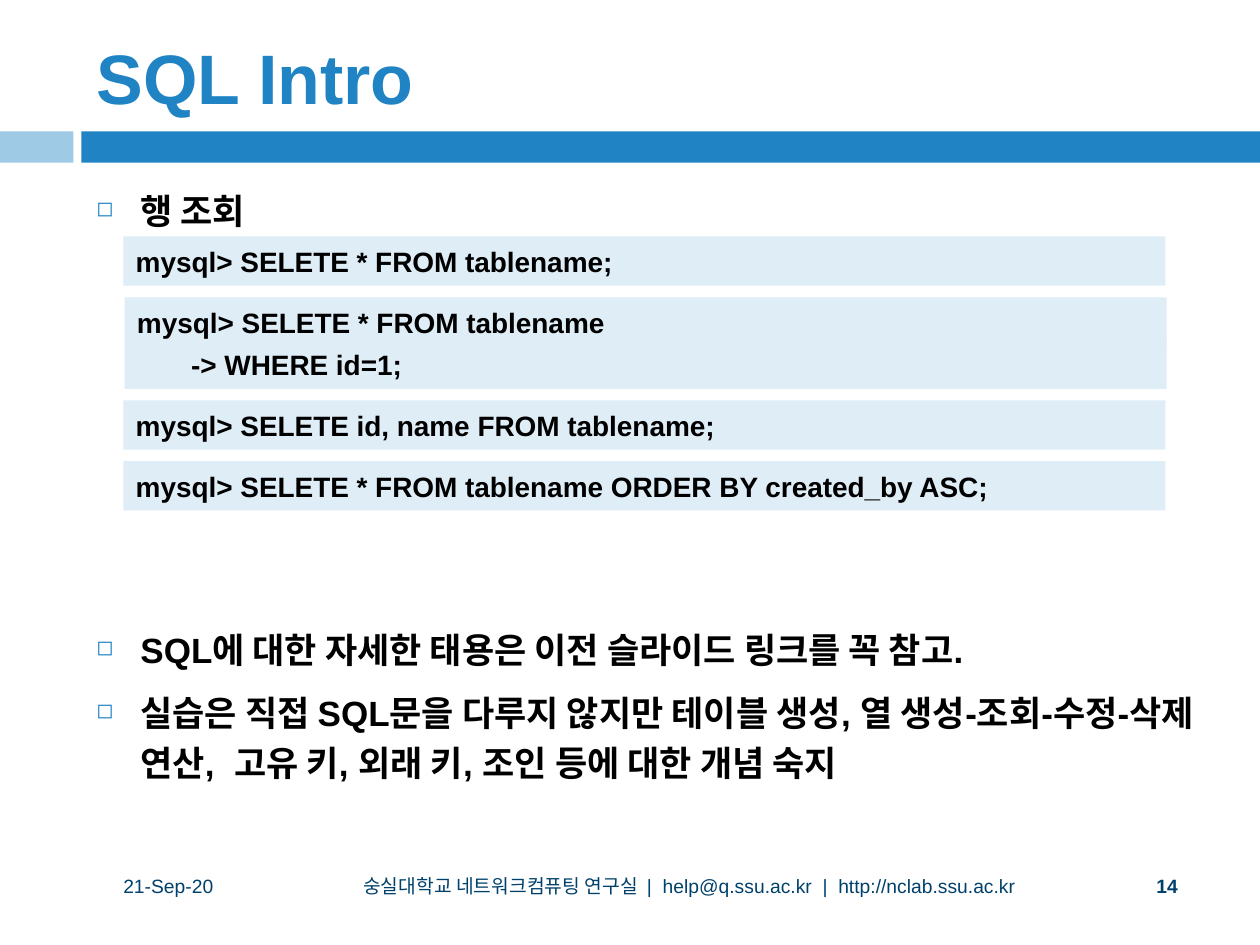
from pptx import Presentation
from pptx.dml.color import RGBColor
from pptx.enum.shapes import MSO_SHAPE
from pptx.enum.text import MSO_ANCHOR, MSO_AUTO_SIZE, PP_ALIGN
from pptx.oxml import parse_xml
from pptx.oxml.ns import nsdecls
from pptx.util import Pt

RECT = MSO_SHAPE.RECTANGLE
MIDDLE, TOP = MSO_ANCHOR.MIDDLE, MSO_ANCHOR.TOP
LEFT, CENTER = PP_ALIGN.LEFT, PP_ALIGN.CENTER
FIXED = MSO_AUTO_SIZE.NONE

BLUE = RGBColor(0x20, 0x83, 0xC4)
LIGHT = RGBColor(0x9F, 0xCA, 0xE6)
PALE = RGBColor(0xDF, 0xED, 0xF7)
NAVY = RGBColor(0x00, 0x41, 0x6B)
BLACK = RGBColor(0, 0, 0)


def draw_bar(x, y, w, h, color):
    bar = slide.shapes.add_shape(RECT, Pt(x), Pt(y), Pt(w), Pt(h))
    bar.shadow.inherit = False
    bar.fill.solid()
    bar.fill.fore_color.rgb = color
    bar.line.fill.background()
    return bar


def set_text(shape, text, size, color, bold=True, align=LEFT):
    frame = shape.text_frame
    form = {"word_wrap": True, "auto_size": FIXED, "vertical_anchor": MIDDLE}
    for key, value in form.items():
        setattr(frame, key, value)
    frame.text = text
    for para in frame.paragraphs:
        para.alignment = align
        style = {"name": "Arial", "size": Pt(size), "bold": bold}
        for key, value in style.items():
            setattr(para.font, key, value)
        para.font.color.rgb = color
    return frame


deck = Presentation()
deck.slide_width, deck.slide_height = Pt(720), Pt(540)
slide = deck.slides.add_slide(deck.slide_layouts[5])

draw_bar(0, 75, 42, 18, LIGHT)
draw_bar(46.5, 75, 673.5, 18, BLUE)

title = slide.shapes.title
place = {"left": 48, "top": 15, "width": 642, "height": 57}
for key, value in place.items():
    setattr(title, key, Pt(value))
set_text(title, "SQL Intro", 40, BLUE)

points = [
    ("행 조회", 0),
    ("SQL에 대한 자세한 태용은 이전 슬라이드 링크를 꼭 참고.", 222),
    ("실습은 직접 SQL문을 다루지 않지만 테이블 생성, 열 생성-조회-수정-삭제 연산,  "
     "고유 키, 외래 키, 조인 등에 대한 개념 숙지", 7),
]
body = slide.shapes.add_textbox(Pt(48), Pt(100), Pt(642), Pt(380))
frame = set_text(body, "\n".join(text for text, gap in points), 20, BLACK)
frame.vertical_anchor = TOP
bullet = (
    f'<a:buClr {nsdecls("a")}><a:srgbClr val="{BLUE}"/></a:buClr>',
    f'<a:buSzPct {nsdecls("a")} val="60000"/>',
    f'<a:buChar {nsdecls("a")} char="◻"/>',
)
for para, (text, gap) in zip(frame.paragraphs, points):
    props = para._p.get_or_add_pPr()
    props.set("marL", str(Pt(25.2)))
    props.set("indent", str(-Pt(25.2)))
    for pos, xml in enumerate(bullet):
        props.insert(pos, parse_xml(xml))
    para.line_spacing = 1.2
    para.space_before = Pt(gap)

codes = [
    (70.5, 135, "mysql> SELETE * FROM tablename;"),
    (71.2, 170, "mysql> SELETE * FROM tablename"),
    (71.2, 194, "       -> WHERE id=1;"),
    (70.5, 228.8, "mysql> SELETE id, name FROM tablename;"),
    (70.5, 263.5, "mysql> SELETE * FROM tablename ORDER BY created_by ASC;"),
]
for x, y, text in codes:
    set_text(draw_bar(x, y, 595.5, 28.2, PALE), text, 16, BLACK)

notes = [
    (48, 96.5, "21-Sep-20", False),
    (150, 488, "숭실대학교 네트워크컴퓨팅 연구실  |  help@q.ssu.ac.kr  |  "
     "http://nclab.ssu.ac.kr", False),
    (643.5, 47, "14", True),
]
for x, w, text, bold in notes:
    box = slide.shapes.add_textbox(Pt(x), Pt(492), Pt(w), Pt(28.5))
    set_text(box, text, 11, NAVY, bold, CENTER)

deck.save("out.pptx")
